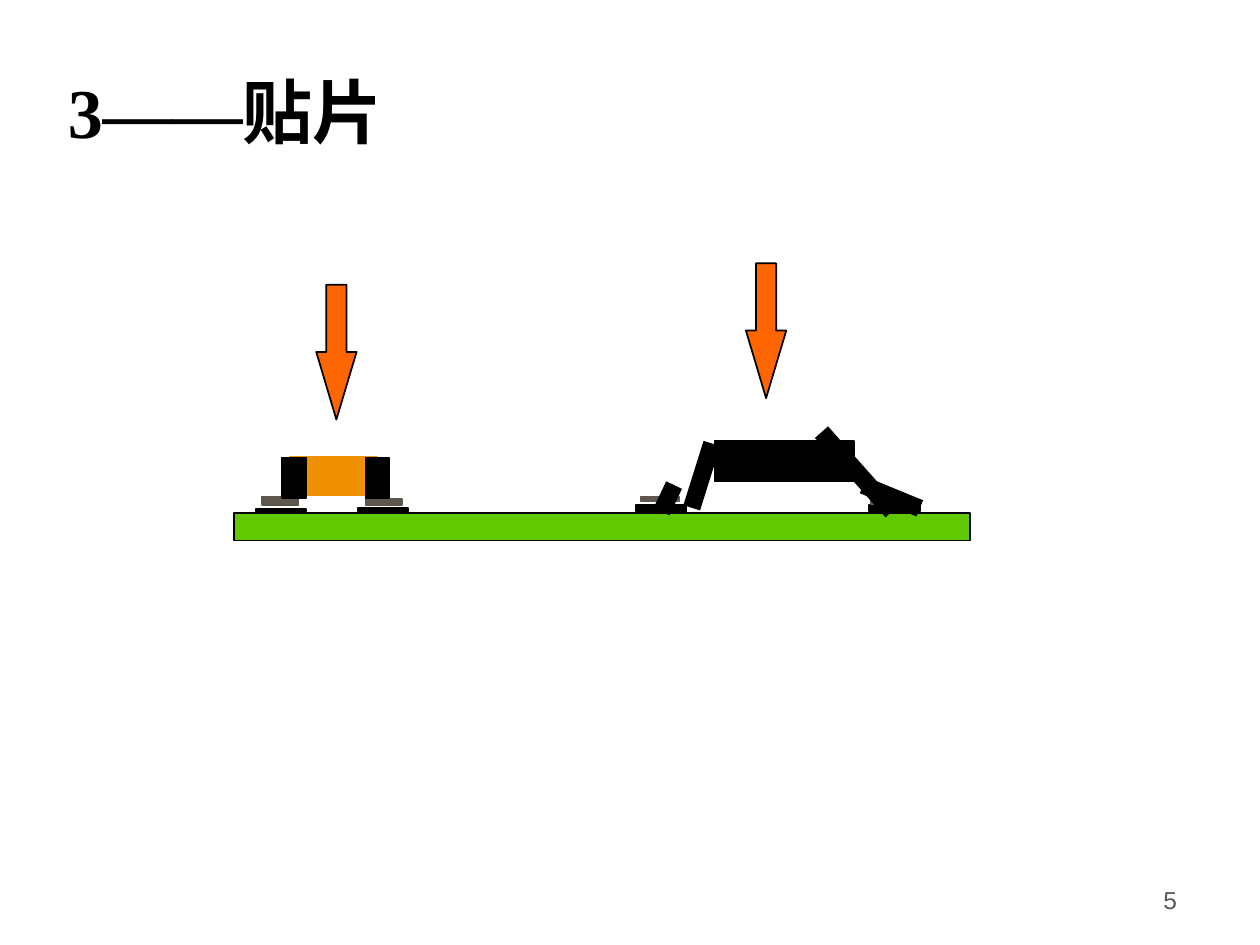
from pptx import Presentation
from pptx.dml.color import RGBColor
from pptx.enum.shapes import MSO_CONNECTOR, MSO_SHAPE
from pptx.enum.text import MSO_ANCHOR, PP_ALIGN
from pptx.oxml.ns import qn
from pptx.util import Inches, Pt
from lxml.etree import SubElement

BLACK = "000000"
GREY = "5E574E"
GREEN = "60C900"
AMBER = "EF9100"
ORANGE = "FF6600"
BOTTOM_SITE, RIGHT_SITE = 2, 3


def color(hex_string):
    return RGBColor.from_string(hex_string)


def add_text(slide, text, left, top, width, height, *, font, size, hex_color=BLACK,
             bold=False, align=PP_ALIGN.LEFT, anchor=MSO_ANCHOR.MIDDLE):
    box = slide.shapes.add_textbox(Inches(left), Inches(top), Inches(width), Inches(height))
    frame = box.text_frame
    frame.word_wrap = True
    frame.vertical_anchor = anchor
    paragraph = frame.paragraphs[0]
    paragraph.alignment = align
    run = paragraph.add_run()
    run.text = text
    run.font.name = font
    run.font.size = Pt(size)
    run.font.bold = bold
    run.font.color.rgb = color(hex_color)


def add_block(slide, left, top, width, height, fill, line=None, kind=MSO_SHAPE.RECTANGLE):
    """Add a filled shape whose outline matches its fill unless line is given."""
    shape = slide.shapes.add_shape(kind, Inches(left), Inches(top), Inches(width), Inches(height))
    shape.shadow.inherit = False
    shape.fill.solid()
    shape.fill.fore_color.rgb = color(fill)
    shape.line.color.rgb = color(line or fill)
    shape.line.width = Pt(1)
    return shape


def add_press_arrow(slide, left, top):
    arrow = add_block(slide, left, top, 0.32, 1.07, ORANGE, BLACK, MSO_SHAPE.DOWN_ARROW)
    arrow.adjustments[0] = 0.5
    arrow.adjustments[1] = 1.675


def add_lead(slide, start, end):
    """Add one thick segment of a bent component lead."""
    points = [Inches(value) for value in (*start, *end)]
    lead = slide.shapes.add_connector(MSO_CONNECTOR.STRAIGHT, *points)
    lead.line.color.rgb = color(BLACK)
    lead.line.width = Pt(10)
    SubElement(lead._element.spPr, qn("a:effectLst"))
    return lead


def add_board(slide):
    """Add the board with its pads and solder paste; return the two chip-lead pads."""
    add_block(slide, 1.86, 4.07, 5.84, 0.22, GREEN, BLACK)
    pads = [add_block(slide, left, top, 0.4, height, BLACK)
            for left, top, height in ((2.03, 4.04, 0.02), (2.84, 4.03, 0.03),
                                      (5.05, 4.01, 0.05), (6.9, 4.01, 0.05))]
    for paste in ((2.08, 3.94, 0.29, 0.07), (2.9, 3.96, 0.29, 0.05),
                  (6.91, 3.97, 0.37, 0.03), (5.09, 3.94, 0.3, 0.04)):
        add_block(slide, *paste, GREY)
    return pads[2:]


def add_resistor(slide):
    add_block(slide, 2.3, 3.63, 0.69, 0.3, AMBER)
    for left in (2.24, 2.9):
        add_block(slide, left, 3.63, 0.19, 0.32, BLACK)


def add_chip(slide, left_pad, right_pad):
    right_foot = add_lead(slide, (7.3, 4.05), (6.85, 3.85))
    right_foot.begin_connect(right_pad, RIGHT_SITE)
    left_foot = add_lead(slide, (5.24, 4.07), (5.35, 3.85))
    left_foot.begin_connect(left_pad, BOTTOM_SITE)
    add_lead(slide, (5.49, 4.03), (5.65, 3.52))
    add_lead(slide, (7.08, 4.06), (6.52, 3.43))
    add_block(slide, 5.67, 3.5, 1.11, 0.32, BLACK)


def main():
    presentation = Presentation()
    presentation.slide_width = Inches(10)
    presentation.slide_height = Inches(7.5)
    slide = presentation.slides.add_slide(presentation.slide_layouts[6])

    add_text(slide, "3——贴片", 0.44, 0.25, 8.5, 1.25,
             font="Times New Roman", size=40, bold=True)
    left_pad, right_pad = add_board(slide)
    add_resistor(slide)
    add_chip(slide, left_pad, right_pad)
    add_press_arrow(slide, 5.92, 2.09)
    add_press_arrow(slide, 2.51, 2.26)
    add_text(slide, "5", 7.36, 6.81, 2.08, 0.5, font="Arial", size=14, hex_color=GREY,
             align=PP_ALIGN.RIGHT, anchor=MSO_ANCHOR.BOTTOM)

    presentation.save("out.pptx")


if __name__ == "__main__":
    main()
